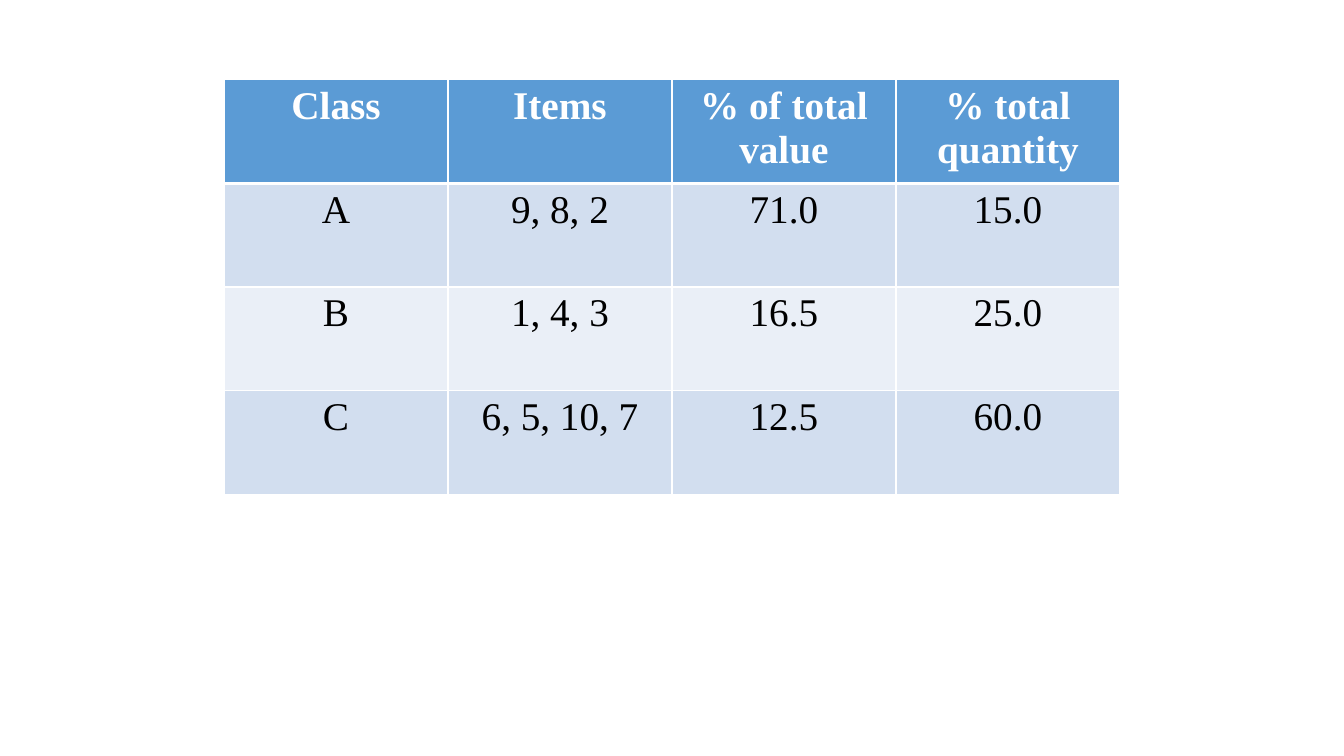
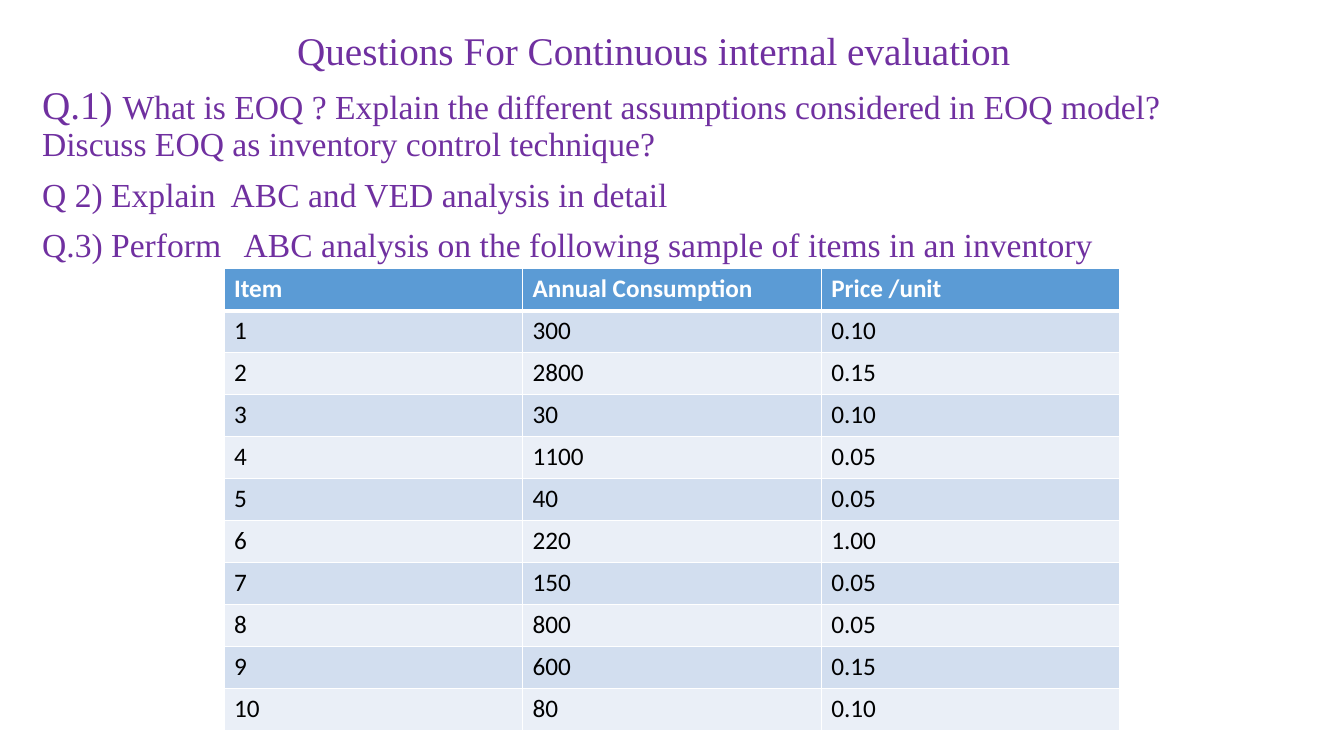
from lxml.etree import SubElement
from pptx import Presentation
from pptx.dml.color import RGBColor
from pptx.enum.text import MSO_ANCHOR as ANCHOR, MSO_AUTO_SIZE as AUTO, PP_ALIGN as ALIGN
from pptx.oxml.ns import qn
from pptx.util import Pt

# Shared style
SERIF, SANS = "Times New Roman", "Calibri"
HEADER, BANDS = "5B9BD5", ("D2DEEF", "EAEFF7")
WHITE, BLACK, PURPLE = "FFFFFF", "000000", "7030A0"
TABLE_LEFT, TABLE_WIDTH = 160, 640
TEXT_LEFT, TEXT_WIDTH = 23, 888
TITLE_ONLY, BLANK = 5, 6

# Content
CLASSES = [
    ("Class", "Items", "% of total value", "% total quantity"),
    ("A", "9, 8, 2", "71.0", "15.0"),
    ("B", "1, 4, 3", "16.5", "25.0"),
    ("C", "6, 5, 10, 7", "12.5", "60.0"),
]
INVENTORY = [
    ("Item", "Annual Consumption", "Price /unit"),
    ("1", "300", "0.10"),
    ("2", "2800", "0.15"),
    ("3", "30", "0.10"),
    ("4", "1100", "0.05"),
    ("5", "40", "0.05"),
    ("6", "220", "1.00"),
    ("7", "150", "0.05"),
    ("8", "800", "0.05"),
    ("9", "600", "0.15"),
    ("10", "80", "0.10"),
]
# Each question is a list of (text, size) runs
QUESTIONS = [
    [("Q.1) ", 28),
     ("What is EOQ ? Explain the different assumptions considered in EOQ model? "
      "Discuss EOQ as inventory control technique?", 24)],
    [("Q 2) Explain  ABC and VED analysis in detail", 24)],
    [("Q.3) Perform \tABC analysis on the following sample of items in an inventory", 24)],
]


def rgb(value):
    return RGBColor.from_string(value)


def style(font, name, size, color, bold=False):
    font.name, font.size, font.bold = name, Pt(size), bold
    font.color.rgb = rgb(color)


def set_borders(cell, row):
    """White 1 pt lines, with a 3 pt rule under the header row."""
    widths = {"lnL": 1, "lnR": 1, "lnT": 3 if row == 1 else 1, "lnB": 3 if row == 0 else 1}
    tc_pr = cell._tc.get_or_add_tcPr()
    for tag, width in widths.items():
        ln = SubElement(tc_pr, qn(f"a:{tag}"), w=str(Pt(width)))
        fill = SubElement(ln, qn("a:solidFill"))
        SubElement(fill, qn("a:srgbClr"), val=WHITE)


def add_table(s, rows, top, row_height, font, size, align=ALIGN.LEFT):
    n_rows, n_cols = len(rows), len(rows[0])
    table = s.shapes.add_table(n_rows, n_cols, Pt(TABLE_LEFT), Pt(top),
                               Pt(TABLE_WIDTH), Pt(row_height * n_rows)).table
    for i, values in enumerate(rows):
        header = i == 0
        for j, value in enumerate(values):
            cell = table.cell(i, j)
            set_borders(cell, i)
            cell.fill.solid()
            cell.fill.fore_color.rgb = rgb(HEADER if header else BANDS[(i - 1) % 2])
            cell.text_frame.text = value
            p = cell.text_frame.paragraphs[0]
            p.alignment = align
            style(p.runs[0].font, font, size, WHITE if header else BLACK, header)


def set_title(s, text):
    title = s.shapes.title
    title.left, title.top = Pt(TEXT_LEFT), Pt(19)
    title.width, title.height = Pt(TEXT_WIDTH), Pt(38)
    tf = title.text_frame
    tf.text = text
    tf.auto_size, tf.vertical_anchor = AUTO.NONE, ANCHOR.TOP
    p = tf.paragraphs[0]
    p.alignment, p.line_spacing = ALIGN.CENTER, 0.9
    style(p.runs[0].font, SERIF, 28, PURPLE)


def add_questions(s, questions):
    tf = s.shapes.add_textbox(Pt(TEXT_LEFT), Pt(57.5), Pt(TEXT_WIDTH), Pt(134)).text_frame
    tf.word_wrap = True
    for i, runs in enumerate(questions):
        p = tf.add_paragraph() if i else tf.paragraphs[0]
        p.line_spacing, p.space_before = 0.9, Pt(10 if i else 0)
        for text, size in runs:
            r = p.add_run()
            r.text = text
            style(r.font, SERIF, size, PURPLE)


def main():
    prs = Presentation()
    prs.slide_width, prs.slide_height = Pt(960), Pt(540)

    # ABC classes
    s = prs.slides.add_slide(prs.slide_layouts[BLANK])
    add_table(s, CLASSES, 57, 74, SERIF, 28, ALIGN.CENTER)

    # Evaluation questions
    s = prs.slides.add_slide(prs.slide_layouts[TITLE_ONLY])
    set_title(s, "Questions For Continuous internal evaluation")
    add_questions(s, QUESTIONS)
    add_table(s, INVENTORY, 192, 30, SANS, 18)

    prs.save("out.pptx")


if __name__ == "__main__":
    main()
